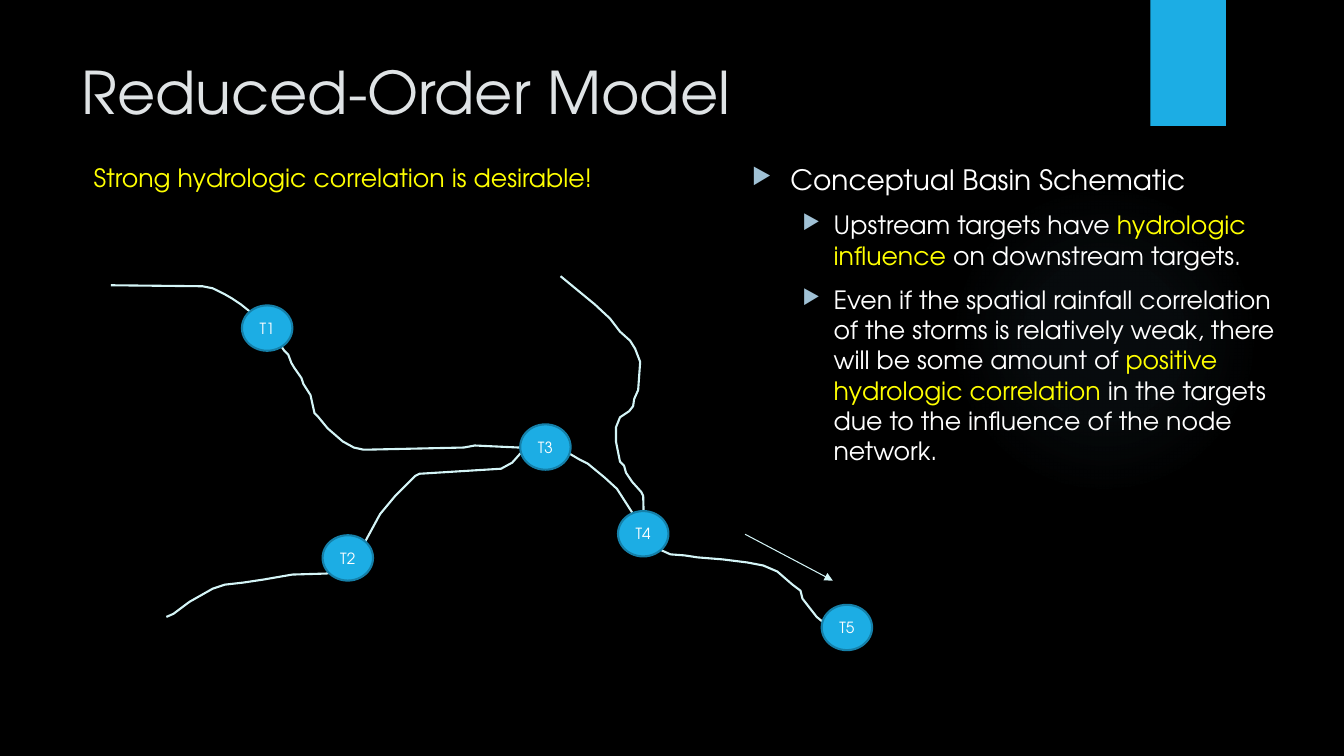
from typing import NamedTuple

from lxml import etree
from pptx import Presentation
from pptx import oxml
from pptx import util as u
from pptx.dml import color
from pptx.enum import shapes, text
from pptx.oxml import ns

FACE = "TeX Gyre Adventor"
WHITE, YELLOW, BLUE, STREAM = "FFFFFF", "FFFF00", "1CADE4", "D4F5F7"


class Node(NamedTuple):
    name: str
    left: float
    top: float


class Run(NamedTuple):
    words: str
    tint: str = WHITE


class Point(NamedTuple):
    level: int
    size: int
    margin: float
    hang: float
    runs: list[Run]


NODES = [Node("T3", 5.16, 4.21), Node("T5", 8.15, 6), Node("T4", 6.13, 5.07),
         Node("T2", 3.2, 5.31), Node("T1", 2.4, 3.03)]

RIVERS = [
    [(1.1, 2.83), (2.01, 2.84), (2.11, 2.86), (2.23, 2.92), (2.3, 2.96),
     (2.39, 3.02), (2.49, 3.1), (2.56, 3.15), (2.6, 3.2), (2.76, 3.39),
     (2.82, 3.48), (2.86, 3.52), (2.89, 3.6), (2.92, 3.65), (2.99, 3.75),
     (3.01, 3.81), (3.08, 3.92), (3.12, 4.1), (3.16, 4.14), (3.25, 4.25),
     (3.4, 4.38), (3.51, 4.44), (3.6, 4.46), (3.69, 4.46), (4.6, 4.44),
     (4.71, 4.42), (5.58, 4.46), (5.75, 4.56), (5.83, 4.6), (6, 4.74),
     (6.12, 4.85), (6.28, 5.1), (6.35, 5.22), (6.41, 5.35), (6.49, 5.42),
     (6.54, 5.45), (6.65, 5.5), (6.79, 5.51), (6.92, 5.53), (7.17, 5.55),
     (7.41, 5.58), (7.57, 5.61), (7.71, 5.67), (7.86, 5.8), (7.94, 5.86),
     (7.96, 5.94), (8.1, 6.12), (8.21, 6.21), (8.35, 6.26), (8.5, 6.31)],
    [(1.65, 6.12), (1.72, 6.09), (1.88, 5.97), (2.11, 5.84), (2.23, 5.8),
     (2.41, 5.78), (2.61, 5.75), (2.9, 5.7), (3.24, 5.69), (3.36, 5.66),
     (3.46, 5.6), (3.56, 5.49), (3.64, 5.34), (3.77, 5.1), (3.92, 4.92),
     (4.06, 4.78), (4.12, 4.72), (4.16, 4.7), (4.97, 4.65), (5.08, 4.59),
     (5.16, 4.5), (5.21, 4.49), (5.33, 4.47)],
    [(5.56, 2.74), (5.9, 3.02), (6.05, 3.16), (6.15, 3.29), (6.25, 3.38),
     (6.3, 3.46), (6.35, 3.59), (6.33, 3.87), (6.29, 3.96), (6.28, 4.03),
     (6.24, 4.08), (6.15, 4.14), (6.11, 4.24), (6.11, 4.38), (6.15, 4.58),
     (6.19, 4.62), (6.21, 4.69), (6.27, 4.78), (6.36, 4.88), (6.38, 4.92),
     (6.39, 5.31)],
]

POINTS = [
    Point(0, 20, 0.38, 0.38, [Run("Conceptual Basin Schematic")]),
    Point(1, 18, 0.81, 0.31, [
        Run("Upstream targets have "), Run("hydrologic influence ", YELLOW),
        Run("on downstream targets.")]),
    Point(1, 18, 0.81, 0.31, [
        Run("Even if the spatial rainfall correlation of the storms is relatively weak, "
            "there will be some amount of "),
        Run("positive hydrologic correlation ", YELLOW),
        Run("in the targets due to the influence of the node network.")]),
]


def rgb(tint: str) -> color.RGBColor:
    return color.RGBColor.from_string(tint)


def apply(item, values: dict) -> None:
    for key, value in values.items():
        setattr(item, key, value)


def write(para, run: Run, size: int) -> None:
    part = para.add_run()
    part.text = run.words
    apply(part.font, {"name": FACE, "size": u.Pt(size)})
    part.font.color.rgb = rgb(run.tint)


def stroke(line, tint: str, width: float) -> None:
    line.color.rgb = rgb(tint)
    line.width = u.Pt(width)


def block(slide, box: tuple, wrap: bool = True):
    frame = slide.shapes.add_textbox(*map(u.Inches, box)).text_frame
    apply(frame, {"word_wrap": wrap, "vertical_anchor": text.MSO_ANCHOR.TOP})
    return frame


def solid(slide, kind, box: tuple, tint: str):
    """Add a filled preset shape with no outline or shadow."""
    shape = slide.shapes.add_shape(kind, *map(u.Inches, box))
    shape.shadow.inherit = False
    shape.fill.solid()
    shape.fill.fore_color.rgb = rgb(tint)
    shape.line.fill.background()
    return shape


def glow(slide) -> None:
    """Add the faint round light behind the bullet text."""
    shape = solid(slide, shapes.MSO_SHAPE.OVAL, (9.41, 1.83, 3.08, 3.08), "70A1C0")
    stops = "".join(
        f'<a:gs pos="{pos}000"><a:srgbClr val="70A1C0"><a:alpha val="{alpha}000"/>'
        "</a:srgbClr></a:gs>" for pos, alpha in [(0, 7), (36, 6), (69, 0)])
    grad = oxml.parse_xml(
        f'<a:gradFill {ns.nsdecls("a")}><a:gsLst>{stops}</a:gsLst><a:path path="circle">'
        '<a:fillToRect l="50000" t="50000" r="50000" b="50000"/></a:path></a:gradFill>')
    props = shape.element.spPr
    props.replace(props.find(ns.qn("a:solidFill")), grad)


def river(slide, spots: list[tuple[float, float]]) -> None:
    first, *rest = [(u.Inches(x), u.Inches(y)) for x, y in spots]
    build = slide.shapes.build_freeform(*first)
    build.add_line_segments(rest, close=False)
    shape = build.convert_to_shape()
    shape.shadow.inherit = False
    shape.fill.background()
    stroke(shape.line, STREAM, 1.5)


def arrow(slide) -> None:
    link = slide.shapes.add_connector(
        shapes.MSO_CONNECTOR.STRAIGHT, *map(u.Inches, (7.39, 5.3, 8.26, 5.76)))
    stroke(link.line, STREAM, 0.75)
    props = link.element.spPr
    etree.SubElement(props.find(ns.qn("a:ln")), ns.qn("a:tailEnd"), type="triangle")
    etree.SubElement(props, ns.qn("a:effectLst"))


def target(slide, node: Node) -> None:
    shape = solid(slide, shapes.MSO_SHAPE.OVAL, (node.left, node.top, 0.5, 0.45), BLUE)
    stroke(shape.line, "1580A9", 1.5)
    frame = shape.text_frame
    apply(frame, {"margin_left": 0, "margin_right": 0, "margin_top": 0,
                  "margin_bottom": 0, "vertical_anchor": text.MSO_ANCHOR.MIDDLE})
    para = frame.paragraphs[0]
    para.alignment = text.PP_ALIGN.CENTER
    write(para, Run(node.name), 11)


def bullet(para, point: Point) -> None:
    para.level = point.level
    props = para._p.get_or_add_pPr()
    props.set("marL", str(u.Inches(point.margin)))
    props.set("indent", str(-u.Inches(point.hang)))
    tint = etree.SubElement(props, ns.qn("a:buClr"))
    etree.SubElement(tint, ns.qn("a:srgbClr"), val="A0C1D5")
    etree.SubElement(props, ns.qn("a:buSzPct"), val="80000")
    etree.SubElement(props, ns.qn("a:buChar"), char="▶")


def main() -> None:
    deck = Presentation()
    apply(deck, {"slide_width": u.Inches(13.33), "slide_height": u.Inches(7.5)})
    slide = deck.slides.add_slide(deck.slide_layouts[6])
    slide.background.fill.solid()
    slide.background.fill.fore_color.rgb = rgb("000000")

    glow(slide)
    solid(slide, shapes.MSO_SHAPE.RECTANGLE, (11.41, 0, 0.75, 1.25), BLUE)
    title = block(slide, (0.71, 0.5, 10.29, 1.53))
    write(title.paragraphs[0], Run("Reduced-Order Model", "DFE3E5"), 42)

    for spots in RIVERS:
        river(slide, spots)
    arrow(slide)
    for node in NODES:
        target(slide, node)

    body = block(slide, (7.36, 1.56, 5.49, 3.64))
    for index, point in enumerate(POINTS):
        para = body.add_paragraph() if index else body.paragraphs[0]
        bullet(para, point)
        if index:
            para.space_before = u.Pt(10)
        for run in point.runs:
            write(para, run, point.size)

    note = block(slide, (0.83, 1.56, 5.23, 0.4), wrap=False)
    write(note.paragraphs[0], Run("Strong hydrologic correlation is desirable!", YELLOW), 18)
    deck.save("out.pptx")


if __name__ == "__main__":
    main()
